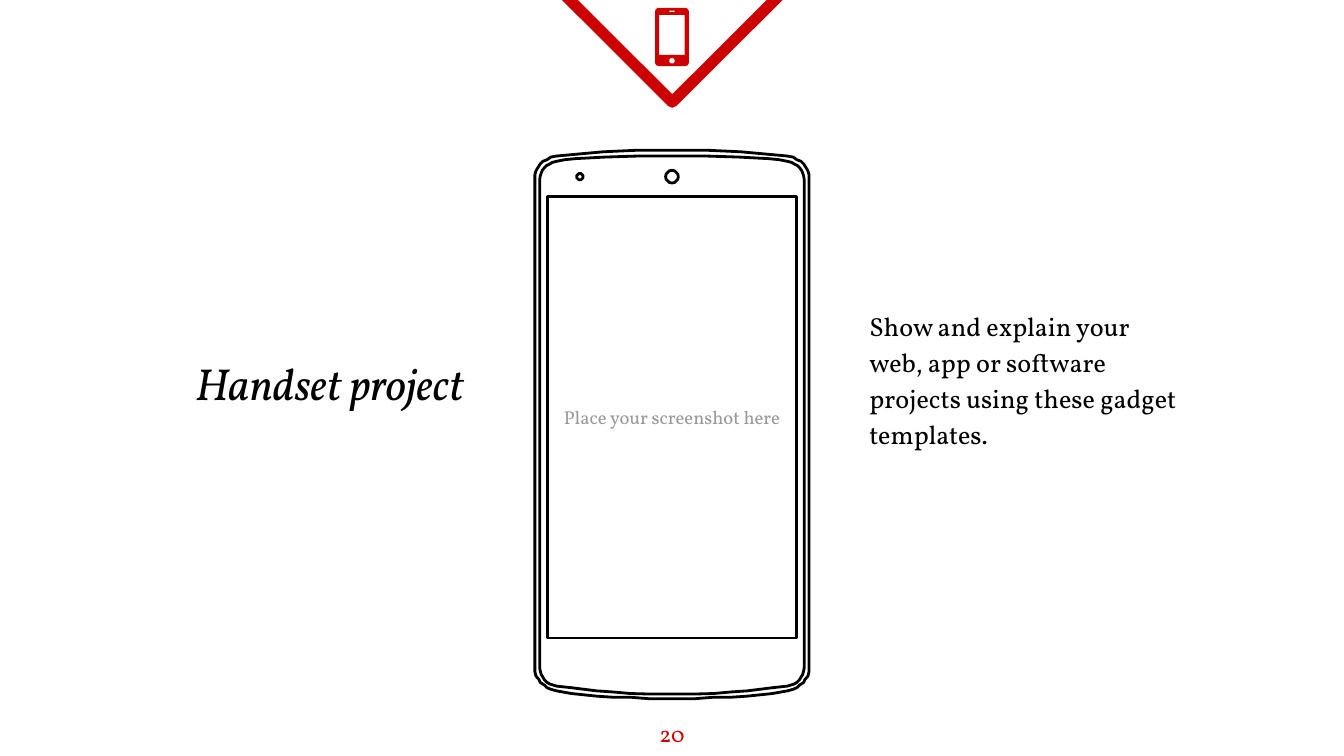
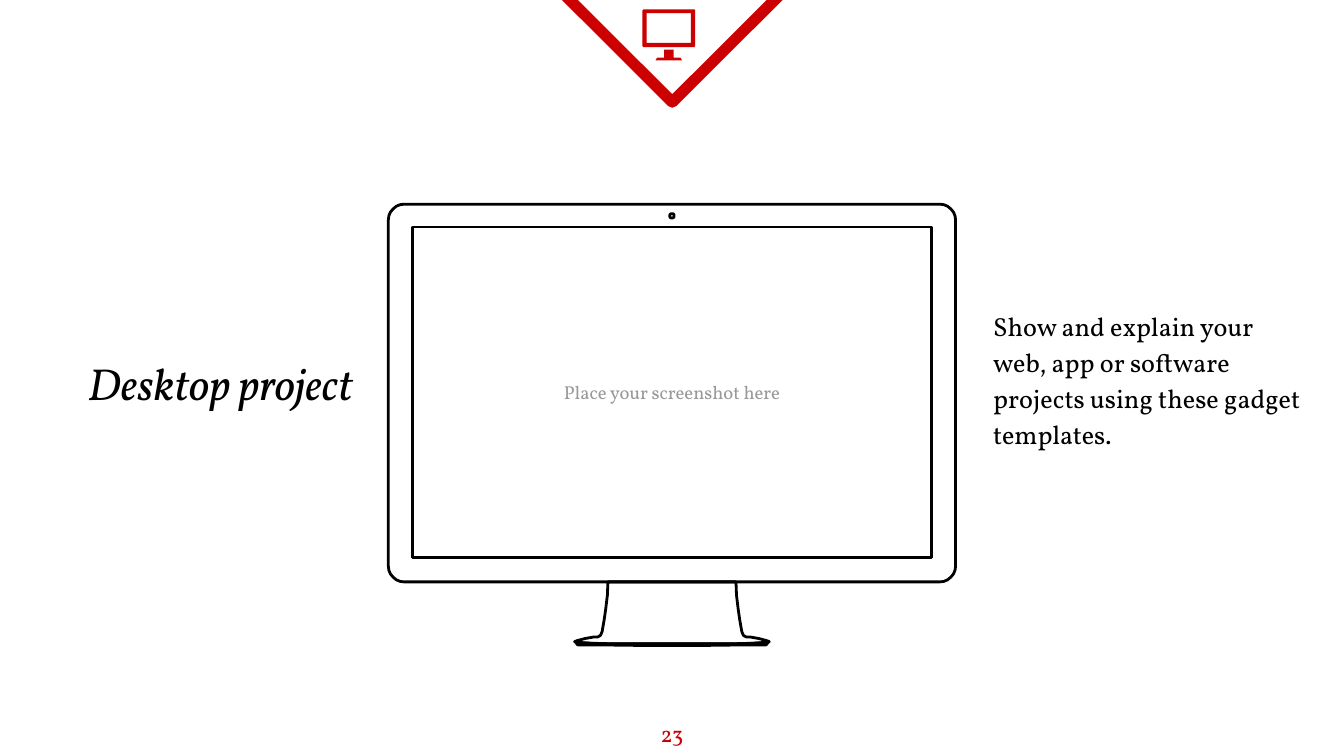
from math import cos, pi, sin

from pptx import Presentation
from pptx.dml.color import RGBColor
from pptx.enum.shapes import MSO_SHAPE as Preset
from pptx.enum.text import MSO_ANCHOR as Anchor, PP_ALIGN as Align
from pptx.util import Cm, Pt

RED = RGBColor(0xCC, 0x00, 0x00)
BLACK = RGBColor(0x00, 0x00, 0x00)
GREY = RGBColor(0x99, 0x99, 0x99)
WHITE = RGBColor(0xFF, 0xFF, 0xFF)

WIDTH, HEIGHT = 25.4, 14.29
AXIS = WIDTH / 2
MONITOR_ICON_AXIS = 12.64

PHONE_SCREEN = (10.35, 3.71, 4.7, 8.35)
DESKTOP_SCREEN = (7.79, 4.29, 9.82, 6.25)

PHONE_EDGE = [
    (0, 2.84), (0.64, 2.84), (1.3, 2.87), (1.85, 2.92), (2.18, 2.95), (2.29, 2.97),
    (2.36, 3.02), (2.44, 3.05), (2.49, 3.1), (2.54, 3.18), (2.57, 3.23), (2.59, 3.3),
    (2.59, 12.7), (2.57, 12.78), (2.51, 12.85), (2.49, 12.9), (2.41, 12.95), (2.36, 13),
    (2.29, 13.03), (2.18, 13.06), (1.9, 13.11), (1.42, 13.16), (1.12, 13.18),
    (0.79, 13.18), (0.41, 13.21), (0, 13.21),
]
PHONE_RIM = [
    (0, 2.95), (0.64, 2.95), (1.27, 2.97), (1.83, 3), (2.03, 3.02), (2.18, 3.05),
    (2.26, 3.07), (2.31, 3.1), (2.37, 3.13), (2.41, 3.17), (2.45, 3.22), (2.47, 3.27),
    (2.49, 3.33), (2.5, 3.4), (2.5, 12.62), (2.49, 12.68), (2.47, 12.75), (2.44, 12.8),
    (2.41, 12.85), (2.36, 12.9), (2.31, 12.93), (2.18, 12.97), (1.9, 13), (1.42, 13.06),
    (1.12, 13.08), (0.79, 13.11), (0.41, 13.12), (0, 13.12),
]
STAND = [
    (1.21, 11), (1.22, 11.25), (1.25, 11.5), (1.28, 11.71), (1.32, 11.94), (1.35, 12.01),
    (1.4, 12.04), (1.47, 12.04), (1.64, 12.07), (1.79, 12.11), (1.84, 12.13),
    (1.8, 12.15), (1.5, 12.16), (1.14, 12.17),
]
BASE = [(0.7, 12.17), (1.4, 12.17), (1.8, 12.14), (1.8, 12.17), (1.78, 12.19),
        (1.45, 12.19), (0.69, 12.2)]
ICON_FOOT = [(0.09, 0.94), (0.09, 1.09), (0.22, 1.09), (0.25, 1.14)]


def mirror(half, axis=AXIS):
    """Complete a right-hand half outline with its reflection."""
    return [(axis + x, y) for x, y in half] + [(axis - x, y) for x, y in reversed(half)]


def arc(x, y, radius, start, sweep, steps):
    """Return points along a circular arc."""
    angles = [start + sweep * step / steps for step in range(steps + 1)]
    return [(x + radius * cos(angle), y + radius * sin(angle)) for angle in angles]


def circle(x, y, radius):
    """Return the outline of a circle."""
    return arc(x, y, radius, 0, 2 * pi, 16)


def rectangle(left, top, width, height, radius=0):
    """Return the outline of a rectangle, with rounded corners if asked."""
    right, bottom = left + width - radius, top + height - radius
    left, top = left + radius, top + radius
    corners = [(right, bottom), (left, bottom), (left, top), (right, top)]
    if not radius:
        return corners
    return [point for turn, (x, y) in enumerate(corners)
            for point in arc(x, y, radius, turn * pi / 2, pi / 2, 6)]


class GadgetDeck:
    """Hold the deck style and the page being drawn."""

    def __init__(self):
        """Start an empty deck."""
        self.deck = Presentation()
        self.deck.slide_width, self.deck.slide_height = Cm(WIDTH), Cm(HEIGHT)
        self.page = None

    def add_page(self, number):
        """Add a page with its red pointer and page number."""
        self.page = self.deck.slides.add_slide(self.deck.slide_layouts[6])
        pointer = self.page.shapes.add_shape(
            Preset.ISOSCELES_TRIANGLE, Cm(10.62), Cm(-0.15), Cm(4.17), Cm(2.08))
        pointer.rotation = 180
        self.paint(pointer, None, RED, 6)
        self.text(str(number), (0, 13.36, WIDTH, 0.91), anchor=Anchor.TOP,
                  align=Align.CENTER, size=12, color=RED)

    def paint(self, shape, fill, line=None, weight=1.5):
        """Set the fill and line of a shape."""
        shape.shadow.inherit = False
        if fill is None:
            shape.fill.background()
        else:
            shape.fill.solid()
            shape.fill.fore_color.rgb = fill
        if line is None:
            shape.line.fill.background()
        else:
            shape.line.color.rgb = line
            shape.line.width = Pt(weight)

    def outline(self, contours, fill, line=None):
        """Draw closed contours as one freeform."""
        builder = None
        for contour in contours:
            start, *rest = [(x * 100, y * 100) for x, y in contour]
            if builder is None:
                builder = self.page.shapes.build_freeform(*start, scale=Cm(0.01))
            else:
                builder.move_to(*start)
            builder.add_line_segments(rest, close=True)
        self.paint(builder.convert_to_shape(), fill, line)

    def text(self, words, place, anchor=Anchor.MIDDLE, align=Align.LEFT,
             spacing=1.0, size=14, color=BLACK, italic=False):
        """Write one paragraph in a text box."""
        box = self.page.shapes.add_textbox(*map(Cm, place))
        frame = box.text_frame
        frame_format = {"word_wrap": True, "vertical_anchor": anchor}
        for side in ("left", "top", "right", "bottom"):
            frame_format[f"margin_{side}"] = Cm(0.25)
        para = frame.paragraphs[0]
        span = para.add_run()
        span.text = words
        span.font.color.rgb = color
        formats = [
            (frame, frame_format),
            (para, {"alignment": align, "line_spacing": spacing}),
            (span.font, {"name": "Vollkorn", "size": Pt(size), "italic": italic}),
        ]
        for target, values in formats:
            for name, value in values.items():
                setattr(target, name, value)

    def captions(self, title, title_left, story_left, screen):
        """Write the title, the story and the screen hint."""
        self.text(title, (title_left, 5.72, 6.17, 2.87), align=Align.RIGHT,
                  spacing=1.15, size=24, italic=True)
        self.text("Place your screenshot here", screen, align=Align.CENTER,
                  size=10, color=GREY)
        self.text("Show and explain your web, app or software projects using "
                  "these gadget templates.", (story_left, 4.95, 6.37, 4.37), spacing=1.15)


def add_phone_page(gadgets):
    """Build the phone page."""
    gadgets.add_page(20)
    gadgets.outline([mirror(PHONE_EDGE), mirror(PHONE_RIM), rectangle(*PHONE_SCREEN),
                     circle(AXIS, 3.34, 0.12), circle(10.96, 3.34, 0.06)], WHITE, BLACK)
    gadgets.outline([rectangle(12.38, 0.15, 0.64, 1.1, 0.08),
                     rectangle(12.46, 0.28, 0.48, 0.76),
                     rectangle(12.65, 0.2, 0.1, 0.03), circle(AXIS, 1.15, 0.05)], RED)
    gadgets.captions("Handset project", 2.84, 16.18, PHONE_SCREEN)


def add_desktop_page(gadgets):
    """Build the desktop page."""
    gadgets.add_page(23)
    gadgets.outline([rectangle(7.34, 3.86, 10.72, 7.14, 0.3), rectangle(*DESKTOP_SCREEN),
                     circle(AXIS, 4.08, 0.04), mirror(STAND), mirror(BASE)], WHITE, BLACK)
    gadgets.outline([mirror(ICON_FOOT, MONITOR_ICON_AXIS)], RED)
    gadgets.outline([rectangle(12.14, 0.18, 1, 0.71, 0.03),
                     rectangle(12.22, 0.25, 0.84, 0.56)], RED)
    gadgets.captions("Desktop project", 0.74, 18.52, DESKTOP_SCREEN)


def main():
    """Build and save the deck."""
    gadgets = GadgetDeck()
    add_phone_page(gadgets)
    add_desktop_page(gadgets)
    gadgets.deck.save("out.pptx")


if __name__ == "__main__":
    main()
